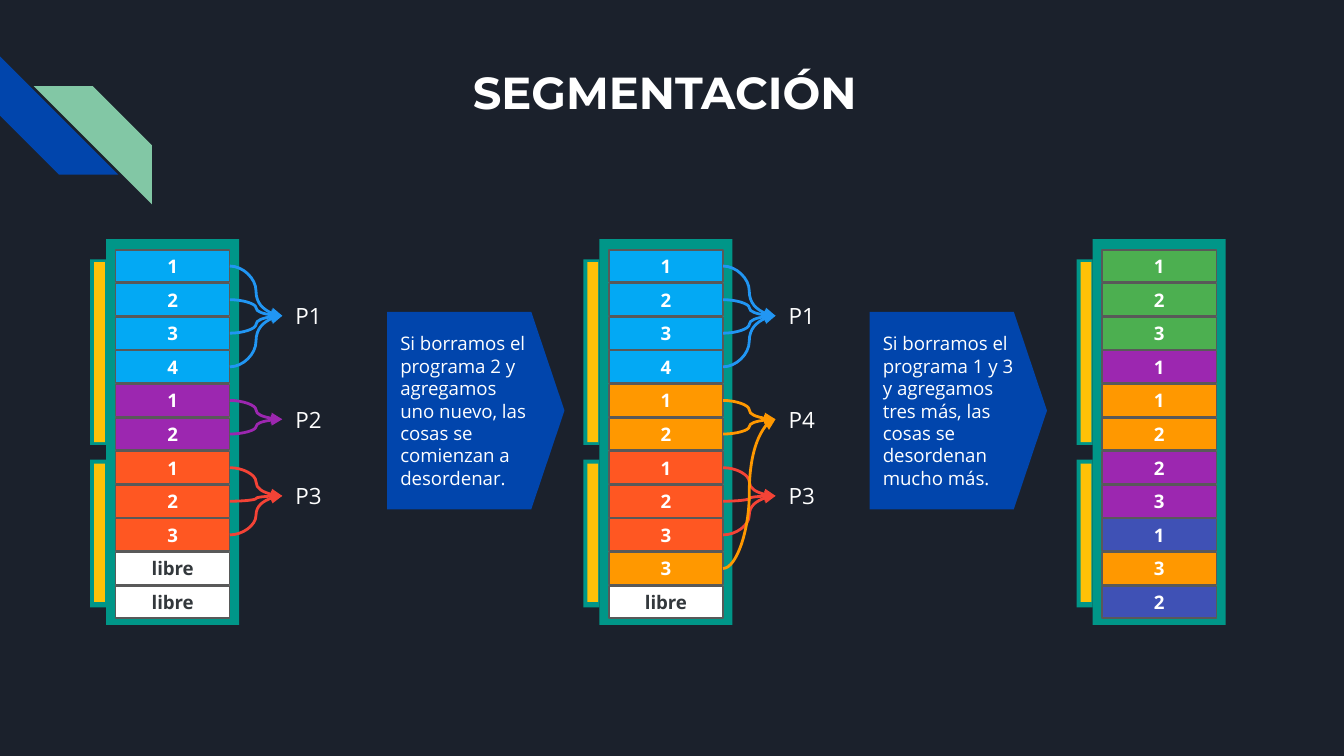
from lxml import etree
from pptx import Presentation
from pptx import util as u
from pptx.dml.color import RGBColor
from pptx.enum import shapes, text
from pptx.oxml.ns import qn

UNIT = 0.25
COLS, ROWS = 40, 22.5
PITCH = 14.68
COLORS = {
    "night": "1B212C", "blue": "0145AC", "mint": "82C7A5", "white": "FFFFFF",
    "teal": "009688", "amber": "FFC107", "pale": "F3F3F3", "edge": "595959",
    "ink": "33383C", "sky": "03A9F4", "purple": "9C27B0", "orange": "FF9800",
    "flame": "FF5722", "green": "4CAF50", "indigo": "3F51B5",
    "azure": "2196F3", "red": "F44336",
}
TITLE = {"name": "Montserrat", "size": u.Pt(24), "bold": True}
CELL = {"name": "Open Sans", "size": u.Pt(10), "bold": True}
NOTE = {"name": "Open Sans", "size": u.Pt(10), "bold": False}
LABEL = {"name": "Open Sans", "size": u.Pt(12), "bold": False}
LEFT, CENTER = text.PP_ALIGN.LEFT, text.PP_ALIGN.CENTER
MIDDLE, BOTTOM = text.MSO_ANCHOR.MIDDLE, text.MSO_ANCHOR.BOTTOM
RECT = shapes.MSO_SHAPE.RECTANGLE

P1 = [("1", "sky"), ("2", "sky"), ("3", "sky"), ("4", "sky")]
P3 = [("1", "flame"), ("2", "flame"), ("3", "flame")]
FREE = ("libre", "white")
MEMORIES = [
    (P1 + [("1", "purple"), ("2", "purple")] + P3 + [FREE, FREE],
     [("P1", 1.32, "azure", (0, 1, 2, 3)), ("P3", 6.68, "red", (6, 7, 8)),
      ("P2", 4.4, "purple", (4, 5))]),
    (P1 + [("1", "orange"), ("2", "orange")] + P3 + [("3", "orange"), FREE],
     [("P1", 1.32, "azure", (0, 1, 2, 3)), ("P3", 6.68, "red", (6, 7, 8)),
      ("P4", 4.4, "orange", (4, 5, 9))]),
    ([("1", "green"), ("2", "green"), ("3", "green"), ("1", "purple"),
      ("1", "orange"), ("2", "orange"), ("2", "purple"), ("3", "purple"),
      ("1", "indigo"), ("3", "orange"), ("2", "indigo")], []),
]
NOTES = [
    (11.52, "Si borramos el programa 2 y agregamos uno nuevo, las cosas se "
            "comienzan a desordenar."),
    (25.88, "Si borramos el programa 1 y 3 y agregamos tres más, las cosas se "
            "desordenan mucho más."),
]


def grid(*cells):
    """Turn grid columns or rows into lengths."""
    return [u.Inches(c * UNIT) for c in cells]


def rgb(key):
    """Return the named colour."""
    return RGBColor.from_string(COLORS[key])


def write(sp, words, font, color="white", align=LEFT, anchor=MIDDLE):
    """Fill a shape with one formatted paragraph and return it."""
    tf = sp.text_frame
    frame = {"word_wrap": True, "vertical_anchor": anchor}
    frame.update({f"margin_{side}": u.Inches(0.1)
                  for side in ("left", "top", "right", "bottom")})
    for name, value in frame.items():
        setattr(tf, name, value)
    p = tf.paragraphs[0]
    p.alignment = align
    r = p.add_run()
    r.text = words
    for name, value in font.items():
        setattr(r.font, name, value)
    r.font.color.rgb = rgb(color)
    return p


def block(s, box, fill, kind=RECT, edge=None):
    """Add a flat filled shape in a grid box."""
    sp = s.shapes.add_shape(kind, *grid(*box))
    sp.shadow.inherit = False
    sp.fill.solid()
    sp.fill.fore_color.rgb = rgb(fill)
    if edge:
        sp.line.color.rgb = rgb(edge)
        sp.line.width = u.Pt(0.75)
    else:
        sp.line.fill.background()
    return sp


def curve(s, cell, label, color):
    """Join a cell to its program label with a curved arrow."""
    c = s.shapes.add_connector(shapes.MSO_CONNECTOR.CURVE, 0, 0, 0, 0)
    c.begin_connect(cell, 3)
    c.end_connect(label, 1)
    c.line.color.rgb = rgb(color)
    c.line.width = u.Pt(1.5)
    etree.SubElement(c.line._get_or_add_ln(), qn("a:tailEnd"), type="triangle")
    etree.SubElement(c._element.spPr, qn("a:effectLst"))


def ribbons(s, x, y, size):
    """Draw the two corner stripes."""
    for dx, dy, fill, turn in ((0, 0, "blue", 270), (1, 0.88, "mint", 90)):
        sp = block(s, (x + dx, y + dy, size, size), fill,
                   shapes.MSO_SHAPE.DIAGONAL_STRIPE)
        sp.adjustments[0] = 0.5
        sp.rotation = turn


def title(s, box, words):
    """Place the slide title."""
    write(s.shapes.add_textbox(*grid(*box)), words, TITLE, anchor=BOTTOM)


def memory(s, x, y, w, h, rows, programs):
    """Draw a memory module with its cells and program arrows."""
    inner = w - 0.56
    block(s, (x, y, w, h), "teal")
    for dy, height in ((0.6, 5.52), (6.56, 4.4)):
        block(s, (x - 0.48, y + dy, 0.48, height), "teal")
    for dy, height in ((0.68, 5.36), (6.68, 4.12)):
        block(s, (x - 0.36, y + dy, 0.32, height), "amber")
    block(s, (x + 0.28, y + 0.32, inner, h - 0.6), "pale")
    cells = []
    for i, (words, fill) in enumerate(rows):
        sp = block(s, (x + 0.28, y + 0.32 + i, inner, 0.96), fill, edge="edge")
        write(sp, words, CELL, "ink" if fill == "white" else "white", CENTER)
        cells.append(sp)
    for name, dy, color, members in programs:
        label = s.shapes.add_textbox(*grid(x + w + 1.28, y + dy, 6.68, 1.92))
        write(label, name, LABEL)
        for i in members:
            curve(s, cells[i], label, color)


def note(s, box, words):
    """Draw an explanatory arrow block."""
    sp = block(s, box, "blue", shapes.MSO_SHAPE.PENTAGON)
    sp.adjustments[0] = 0.187
    write(sp, words, NOTE).line_spacing = u.Pt(12)


def main():
    """Build the slide and save it."""
    prs = Presentation()
    prs.slide_width, prs.slide_height = grid(COLS, ROWS)
    s = prs.slides.add_slide(prs.slide_layouts[6])
    s.background.fill.solid()
    s.background.fill.fore_color.rgb = rgb("night")
    ribbons(s, 0, 1.68, 3.52)
    title(s, (13.68, 1.16, 12.68, 2.76), "SEGMENTACIÓN")
    for i, (rows, programs) in enumerate(MEMORIES):
        memory(s, 3.16 + i * PITCH, 7.12, 3.96, 11.48, rows, programs)
    for x, words in NOTES:
        note(s, (x, 9.28, 5.28, 5.88), words)
    prs.save("out.pptx")


if __name__ == "__main__":
    main()
